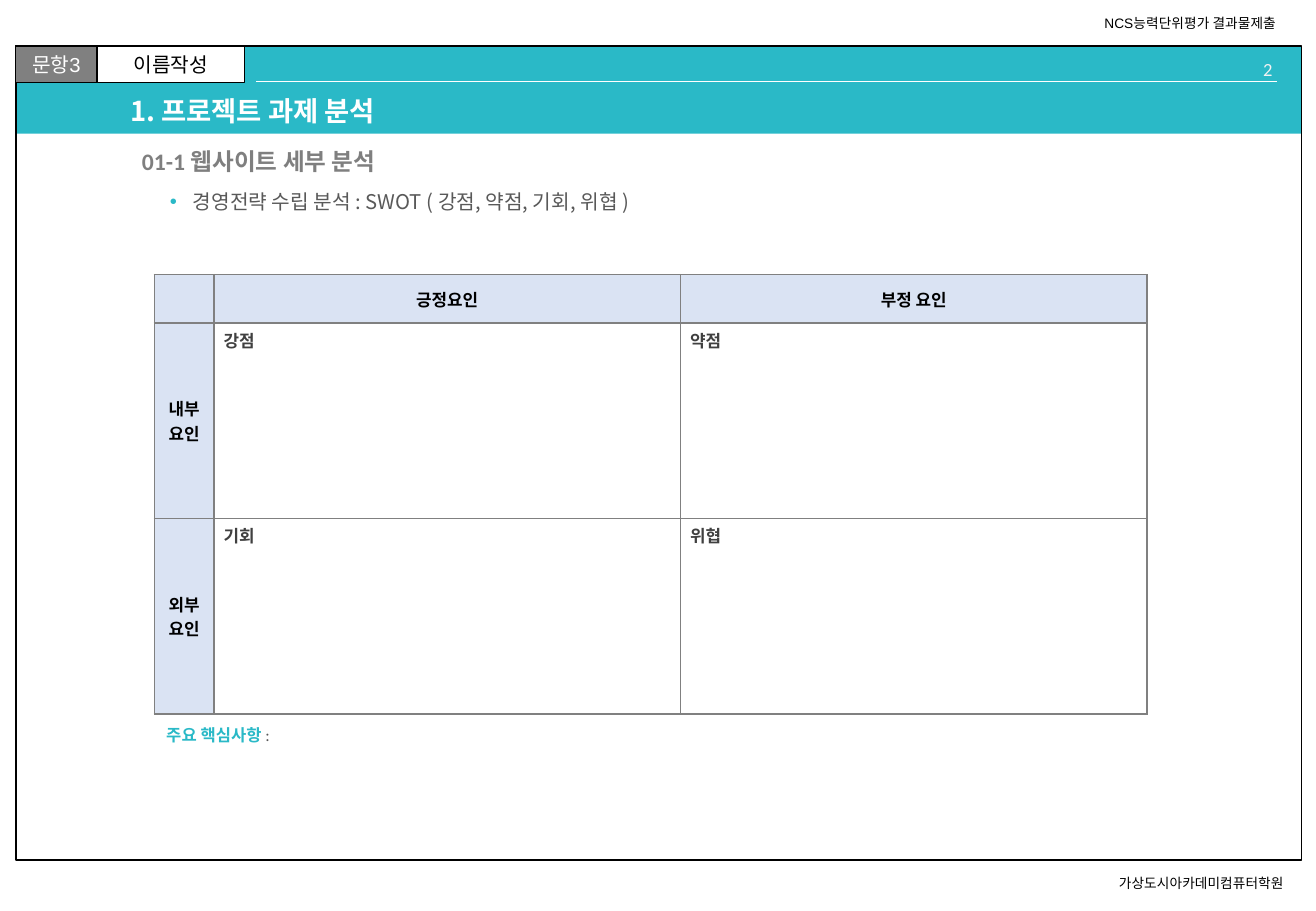
from lxml.etree import SubElement
from pptx import Presentation
from pptx.dml.color import RGBColor
from pptx.enum.shapes import MSO_CONNECTOR, MSO_SHAPE
from pptx.enum.text import MSO_ANCHOR, MSO_AUTO_SIZE, PP_ALIGN
from pptx.oxml.ns import qn
from pptx.util import Inches, Pt

HUES = {
    "teal": "2AB9C7", "black": "000000", "white": "FFFFFF", "gray": "808080",
    "pale": "F2F2F2", "head": "DAE3F3", "sub": "7F7F7F", "body": "595959",
    "cell": "404040",
}
HANGUL = "Noto Sans CJK KR"
LEFT, MID, RIGHT = PP_ALIGN.LEFT, PP_ALIGN.CENTER, PP_ALIGN.RIGHT


def color(name):
    """Return the named colour."""
    return RGBColor.from_string(HUES[name])


def apply(item, form):
    """Set each attribute in form on item."""
    for key, value in form.items():
        setattr(item, key, value)


def place(shape, box):
    """Move and size a shape to box, in inches."""
    keys = ("left", "top", "width", "height")
    apply(shape, dict(zip(keys, map(Inches, box))))


def write(frame, runs, size, font, bold=False, align=LEFT, **form):
    """Fill a text frame with one paragraph of (text, colour) runs."""
    apply(frame, {"word_wrap": True, "auto_size": MSO_AUTO_SIZE.NONE, **form})
    para = frame.paragraphs[0]
    para.alignment = align
    for text, hue in runs:
        run = para.add_run()
        run.text = text
        apply(run.font, {"size": Pt(size), "name": font, "bold": bold})
        run.font.color.rgb = color(hue)
        SubElement(run.font._element, qn("a:ea"), typeface=HANGUL)
    return para


def label(slide, box, runs, size, font, **form):
    """Add a text box and return its paragraph."""
    shape = slide.shapes.add_textbox(*map(Inches, box))
    return write(shape.text_frame, runs, size, font, **form)


def panel(slide, box, fill=None, line=None, width=1):
    """Add a flat rectangle."""
    shape = slide.shapes.add_shape(MSO_SHAPE.RECTANGLE, *map(Inches, box))
    shape.shadow.inherit = False
    if fill:
        shape.fill.solid()
        shape.fill.fore_color.rgb = color(fill)
    else:
        shape.fill.background()
    if line:
        shape.line.color.rgb = color(line)
        shape.line.width = Pt(width)
    else:
        shape.line.fill.background()
    return shape


def draw_page(slide, box):
    """Draw the band, the frame and the notes above and below it."""
    x, y, w, h = box
    panel(slide, (x, y, w, 0.72), fill="teal")
    panel(slide, box, line="black")
    notes = (
        ((x + 8.98, y + h + 0.07, 1.68, 0.24), "가상도시아카데미컴퓨터학원"),
        ((x + 8.86, y - 0.31, 1.72, 0.24), "NCS능력단위평가 결과물제출"),
    )
    for spot, text in notes:
        label(slide, spot, [(text, "black")], 8.1, "Arial", word_wrap=False)


def draw_tabs(slide, box):
    """Draw the question and name tabs, the page number and the rule."""
    x, y, w, h = box
    tabs = (("문항3", 0.67, "gray", "white"), ("이름작성", 1.21, "white", "black"))
    left = x
    for text, width, fill, hue in tabs:
        tab = panel(slide, (left, y, width, h), fill, "black", 0.75)
        write(tab.text_frame, [(text, hue)], 12, "Arial", align=MID,
              vertical_anchor=MSO_ANCHOR.MIDDLE)
        left += width
    label(slide, (x + w - 1.18, y + 0.05, 1.18, 0.2), [("2", "pale")],
          11, "Calibri", align=RIGHT)
    ends = (left + 0.1, y + 0.29, x + w - 0.06, y + 0.29)
    rule = slide.shapes.add_connector(MSO_CONNECTOR.STRAIGHT, *map(Inches, ends))
    rule.line.color.rgb = color("white")
    rule.line.width = Pt(0.5)
    SubElement(rule._element.spPr, qn("a:effectLst"))


def draw_heads(slide, box):
    """Set the title, the subtitle and the bullet line."""
    x, y, w, h = box
    center = {"vertical_anchor": MSO_ANCHOR.MIDDLE}
    title = slide.shapes.title
    place(title, box)
    para = write(title.text_frame, [("1. 프로젝트 과제 분석", "white")],
                 16.2, HANGUL, bold=True, **center)
    para.line_spacing = 0.9
    para = label(slide, (x + 0.1, y + 0.41, w - 0.1, h),
                 [("01-1 웹사이트 세부 분석", "sub")], 14, "Calibri",
                 bold=True, **center)
    para.line_spacing = 0.9
    para = label(slide, (x + 0.33, y + 0.75, w - 0.33, h),
                 [("경영전략 수립 분석 : SWOT ( 강점, 약점, 기회, 위협 )", "body")],
                 12, HANGUL)
    para.space_before = Pt(3)
    props = para._p.get_or_add_pPr()
    props.set("marL", str(Inches(0.19)))
    props.set("indent", str(Inches(-0.19)))
    tint = SubElement(props, qn("a:buClr"))
    SubElement(tint, qn("a:srgbClr"), val=HUES["teal"])
    SubElement(props, qn("a:buFont"), typeface="Arial")
    SubElement(props, qn("a:buChar"), char="•")


def edge(cell):
    """Draw gray borders round a cell."""
    props = cell._tc.get_or_add_tcPr()
    for spot, side in enumerate(("lnL", "lnR", "lnT", "lnB")):
        line = props.makeelement(qn("a:" + side), {"w": str(Pt(1))})
        props.insert(spot, line)
        fill = SubElement(line, qn("a:solidFill"))
        SubElement(fill, qn("a:srgbClr"), val=HUES["gray"])


def draw_swot(slide, box):
    """Draw the SWOT table and the key point line below it."""
    x, y, w, h = box
    rows = (("", "긍정요인", "부정 요인"),
            ("내부요인", "강점", "약점"),
            ("외부요인", "기회", "위협"))
    table = slide.shapes.add_table(3, 3, *map(Inches, box)).table
    apply(table, {"first_row": False, "horz_banding": False})
    side, top = 0.49, 0.4
    for col, width in zip(table.columns, (side, (w - side) / 2, (w - side) / 2)):
        col.width = Inches(width)
    for row, high in zip(table.rows, (top, (h - top) / 2, (h - top) / 2)):
        row.height = Inches(high)
    inset = {"margin_left": Inches(0.08), "margin_right": Inches(0.08),
             "margin_top": Inches(0.04), "margin_bottom": Inches(0.04)}
    for r, texts in enumerate(rows):
        for c, text in enumerate(texts):
            cell = table.cell(r, c)
            head = r == 0 or c == 0
            apply(cell, inset)
            cell.vertical_anchor = MSO_ANCHOR.MIDDLE if head else MSO_ANCHOR.TOP
            if head:
                cell.fill.solid()
                cell.fill.fore_color.rgb = color("head")
            else:
                cell.fill.background()
            edge(cell)
            if text:
                write(cell.text_frame, [(text, "black" if head else "cell")],
                      10, "Calibri", bold=True, align=MID if head else LEFT)
    para = label(slide, (x, y + h + 0.04, w, 0.27),
                 [("주요 핵심사항 ", "teal"), (":", "body")], 9.8, "Calibri", bold=True)
    para.runs[1].font.bold = False


def main():
    """Build and save the slide."""
    deck = Presentation()
    apply(deck, {"slide_width": Inches(10.83), "slide_height": Inches(7.5)})
    slide = deck.slides.add_slide(deck.slide_layouts[5])
    draw_page(slide, (0.13, 0.38, 10.58, 6.7))
    draw_tabs(slide, (0.13, 0.38, 10.44, 0.3))
    draw_heads(slide, (0.97, 0.76, 8.76, 0.34))
    draw_swot(slide, (1.27, 2.26, 8.17, 3.62))
    tree = slide.shapes._spTree
    title = slide.shapes.title._element
    tree.remove(title)
    tree.append(title)
    deck.save("out.pptx")


main()
